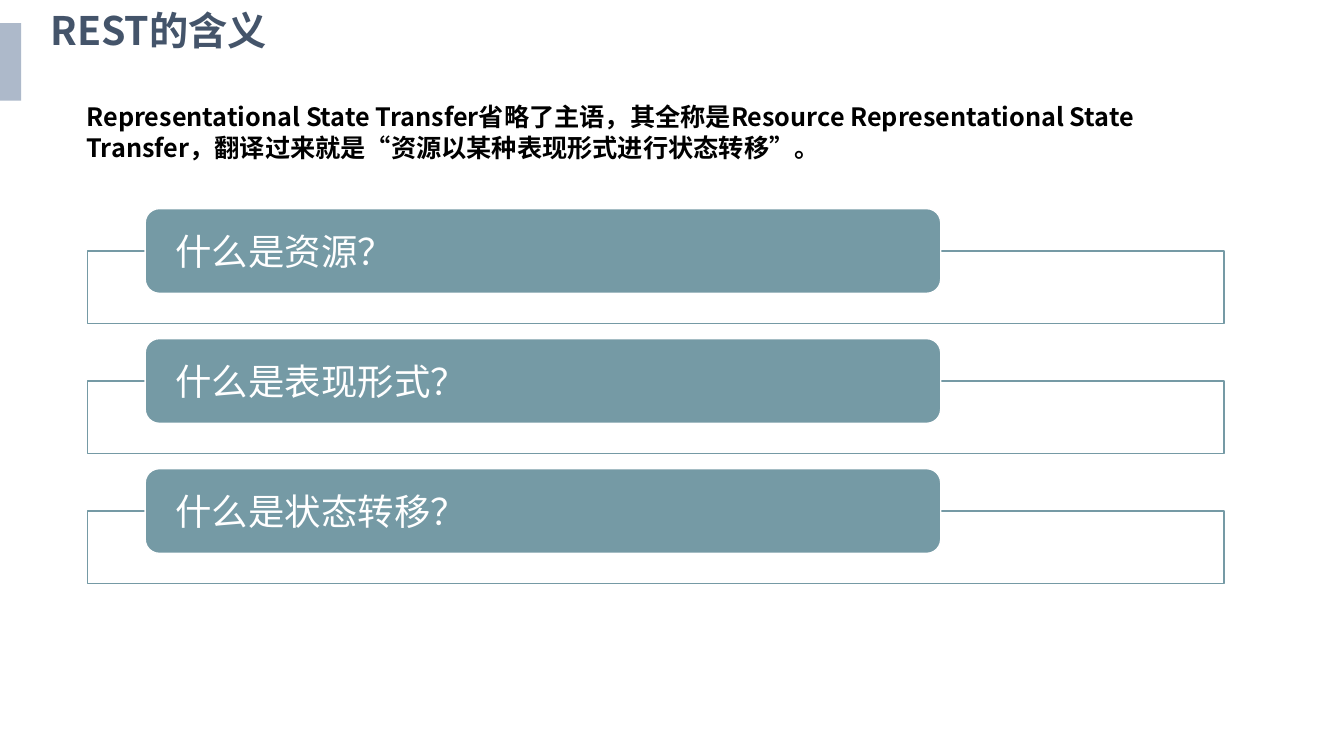
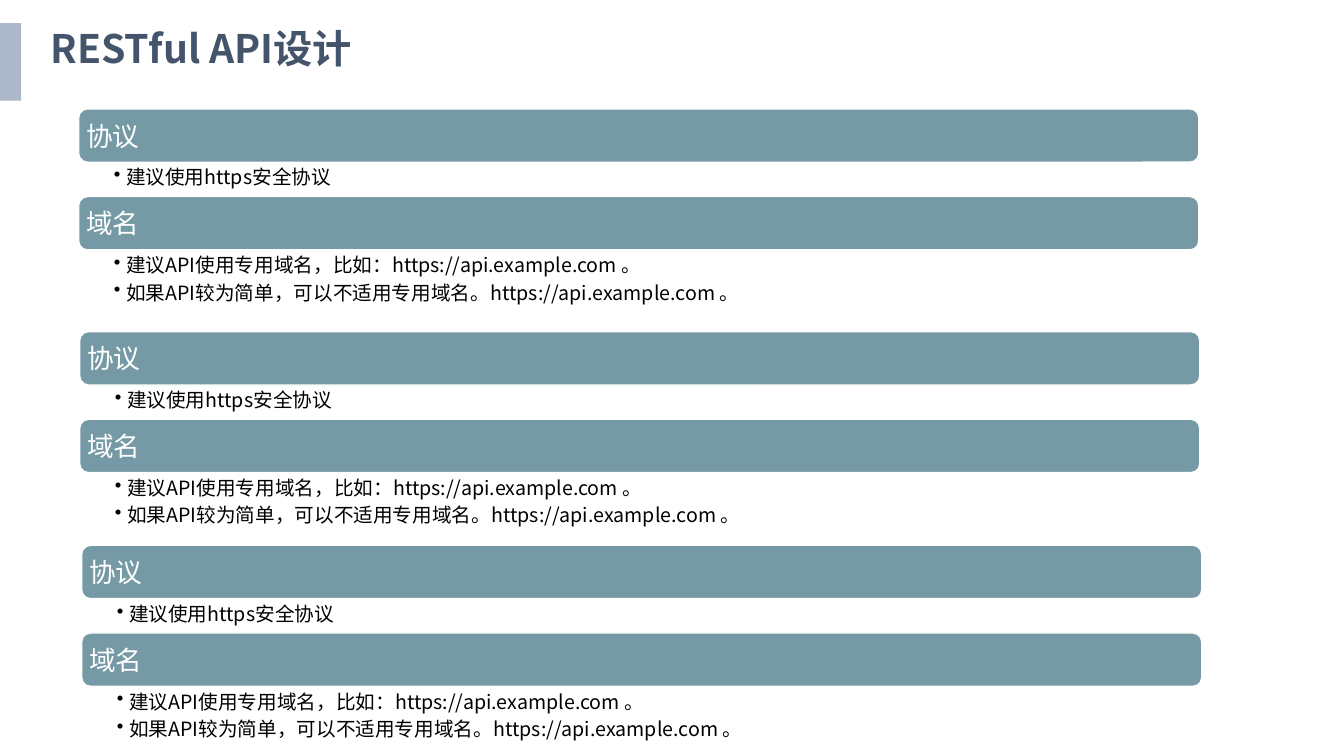
from pptx import Presentation
from pptx.dml.color import RGBColor
from pptx.enum import shapes, text
from pptx.oxml import xmlchemy
from pptx.util import Inches, Pt

FONT = "Noto Sans CJK SC"
TITLE_COLOR = "44546A"
MARKER_COLOR = "ADB9CA"
TEAL = "759AA5"
WHITE = "FFFFFF"
BLACK = "000000"

QUESTIONS = ["什么是资源？", "什么是表现形式？", "什么是状态转移？"]
INTRO = (
    "Representational State Transfer省略了主语，其全称是Resource "
    "Representational State Transfer，翻译过来就是“资源以某种表现形式进行状态转移”。"
)
GUIDELINES = [
    ("协议", ["建议使用https安全协议"], 0.34),
    ("域名", [
        "建议API使用专用域名，比如：https://api.example.com 。",
        "如果API较为简单，可以不适用专用域名。https://api.example.com 。",
    ], 0.57),
]
GUIDELINE_ORIGINS = [(0.78, 1.08), (0.79, 3.29), (0.81, 5.41)]


def color(hex_value):
    return RGBColor.from_string(hex_value)


def add_bullet(paragraph):
    properties = paragraph._p.get_or_add_pPr()
    properties.set("marL", str(Inches(0.12)))
    properties.set("indent", str(-Inches(0.12)))
    bullet = xmlchemy.OxmlElement("a:buChar")
    bullet.set("char", "•")
    properties.append(bullet)


def write_text(shape, lines, *, size, font_color=BLACK, bold=False,
               insets=(0.1, 0.05, 0.1, 0.05), anchor=text.MSO_ANCHOR.TOP,
               line_spacing=None, space_after=0, bullets=False):
    """Fill a shape with one paragraph per line; insets are left, top, right, bottom."""
    frame = shape.text_frame
    frame.word_wrap = True
    frame.auto_size = text.MSO_AUTO_SIZE.NONE
    frame.vertical_anchor = anchor
    (frame.margin_left, frame.margin_top,
     frame.margin_right, frame.margin_bottom) = map(Inches, insets)
    for index, line in enumerate(lines):
        paragraph = frame.add_paragraph() if index else frame.paragraphs[0]
        paragraph.alignment = text.PP_ALIGN.LEFT
        paragraph.space_after = Pt(space_after)
        if line_spacing:
            paragraph.line_spacing = line_spacing
        if bullets:
            add_bullet(paragraph)
        run = paragraph.add_run()
        run.text = line
        run.font.name = FONT
        run.font.size = Pt(size)
        run.font.bold = bold
        run.font.color.rgb = color(font_color)
        east_asian = xmlchemy.OxmlElement("a:ea")
        east_asian.set("typeface", FONT)
        run.font._element.find("{*}latin").addnext(east_asian)


def add_box(slide, kind, left, top, width, height, fill, line=None):
    shape = slide.shapes.add_shape(
        kind, Inches(left), Inches(top), Inches(width), Inches(height))
    shape.shadow.inherit = False
    shape.fill.solid()
    shape.fill.fore_color.rgb = color(fill)
    if line:
        shape.line.color.rgb = color(line)
        shape.line.width = Pt(1)
    else:
        shape.line.fill.background()
    return shape


def add_heading_bar(slide, left, top, width, height, heading, size, inset):
    bar = add_box(slide, shapes.MSO_SHAPE.ROUNDED_RECTANGLE,
                  left, top, width, height, TEAL, WHITE)
    write_text(bar, [heading], size=size, font_color=WHITE,
               insets=(inset, 0, inset, 0), anchor=text.MSO_ANCHOR.MIDDLE)


def add_text_box(slide, left, top, width, height, lines, **text_format):
    box = slide.shapes.add_textbox(
        Inches(left), Inches(top), Inches(width), Inches(height))
    write_text(box, lines, **text_format)


def add_titled_slide(presentation, layout, title_text, title_top):
    slide = presentation.slides.add_slide(layout)
    title = slide.shapes.title
    title.left, title.top = Inches(0.4), Inches(title_top)
    title.width, title.height = Inches(11.49), Inches(0.55)
    write_text(title, [title_text], size=28, font_color=TITLE_COLOR, bold=True,
               anchor=text.MSO_ANCHOR.MIDDLE, line_spacing=0.9)
    return slide


def move_marker_to_layout(slide, layout):
    """Give every slide of the layout the marker at the left edge."""
    marker = add_box(slide, shapes.MSO_SHAPE.RECTANGLE,
                     0, 0.23, 0.21, 0.77, MARKER_COLOR)
    layout.shapes.element.insert(2, marker.element)


def add_question(slide, top, question):
    add_box(slide, shapes.MSO_SHAPE.RECTANGLE,
            0.87, top + 0.42, 11.27, 0.72, WHITE, TEAL)
    add_heading_bar(slide, 1.44, top, 7.89, 0.84, question, size=26, inset=0.26)


def add_guidelines(slide, left, top):
    width, bar_height = 11.11, 0.53
    for heading, points, points_height in GUIDELINES:
        add_heading_bar(slide, left, top, width, bar_height, heading,
                        size=19, inset=0.05)
        top += bar_height
        add_text_box(slide, left, top, width, points_height, points, size=14,
                     insets=(0.35, 0.03, 0.15, 0.03), space_after=2.8,
                     bullets=True)
        top += points_height


def main():
    presentation = Presentation()
    presentation.slide_width = Inches(13.33)
    presentation.slide_height = Inches(7.5)
    layout = presentation.slide_layouts[5]

    meaning = add_titled_slide(presentation, layout, "REST的含义", 0.05)
    move_marker_to_layout(meaning, layout)
    add_text_box(meaning, 0.76, 0.96, 11.74, 1.01, [INTRO], size=18, bold=True)
    for row, question in enumerate(QUESTIONS):
        add_question(meaning, 2.07 + 1.29 * row, question)

    design = add_titled_slide(presentation, layout, "RESTful API设计", 0.23)
    for left, top in GUIDELINE_ORIGINS:
        add_guidelines(design, left, top)

    presentation.save("out.pptx")


if __name__ == "__main__":
    main()
